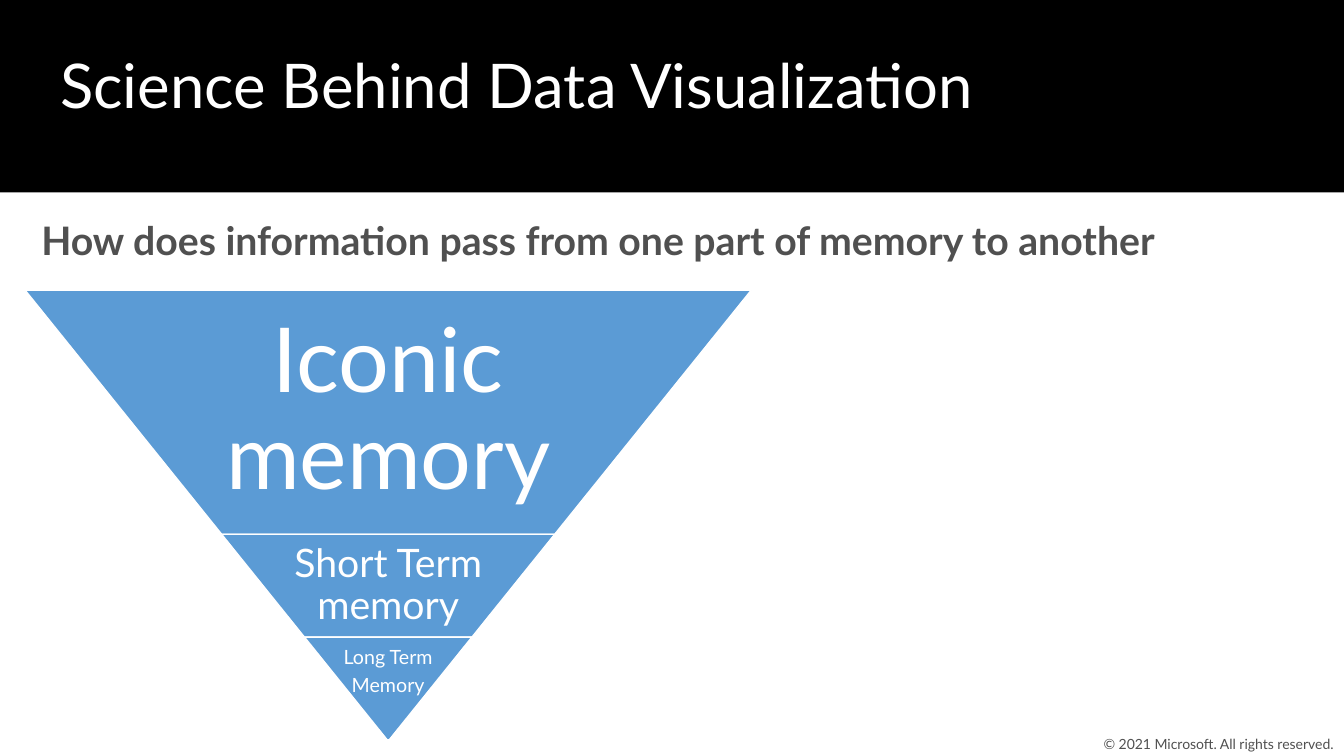
from dataclasses import dataclass

from pptx import Presentation
from pptx.dml.color import RGBColor
from pptx.enum import shapes, text
from pptx.util import Inches, Pt


@dataclass(frozen=True)
class Theme:
    font: str = "Lato"
    black: RGBColor = RGBColor(0, 0, 0)
    white: RGBColor = RGBColor(255, 255, 255)
    grey: RGBColor = RGBColor(0x50, 0x50, 0x50)
    blue: RGBColor = RGBColor(0x5B, 0x9B, 0xD5)
    title: int = 44
    question: int = 28
    notice: int = 10


THEME = Theme()
WIDTH, HEIGHT = 13.33, 7.5
SLOPE = 0.805  # horizontal run of the funnel sides per unit of height

# Height, share of the width for text, type size, inset, bottom inset, lines
TIERS = [
    (2.42, 0.65, 64, 0.09, 0.09, ["Iconic memory"]),
    (1.02, 0.65, 28, 0.04, 0.04, ["Short Term memory"]),
    (1.02, 1, 14, 0.02, 0.34, ["Long Term", "Memory"]),
]


def add_text(slide, box, lines, size, color, insets, bold=False, centred=False,
             middle=False, spacing=None, after=0):
    frame = slide.shapes.add_textbox(*map(Inches, box)).text_frame
    frame.word_wrap = True
    frame.vertical_anchor = text.MSO_ANCHOR.MIDDLE if middle else text.MSO_ANCHOR.TOP
    (frame.margin_left, frame.margin_top,
     frame.margin_right, frame.margin_bottom) = map(Inches, insets)
    frame.text = "\n".join(lines)
    for line in frame.paragraphs:
        line.alignment = text.PP_ALIGN.CENTER if centred else text.PP_ALIGN.LEFT
        line.line_spacing = spacing
        line.space_after = Pt(after)
        line.font.name = THEME.font
        line.font.size = Pt(size)
        line.font.bold = bold
        line.font.color.rgb = color


def add_block(slide, kind, box, fill):
    block = slide.shapes.add_shape(kind, *map(Inches, box))
    block.shadow.inherit = False
    block.fill.solid()
    block.fill.fore_color.rgb = fill
    block.line.fill.background()
    return block


def add_header(slide, left, top, width, height):
    add_block(slide, shapes.MSO_SHAPE.RECTANGLE, (left, top, width, height), THEME.black)
    add_text(slide, (left + 0.5, top + 0.22 * height, width - 1.04, 0.4 * height),
             ["Science Behind Data Visualization"], THEME.title, THEME.white,
             (0.1, 0.05, 0.1, 0.05))


def add_question(slide, *box):
    add_text(slide, box, ["How does information pass from one part of memory to another"],
             THEME.question, THEME.grey, (0.16, 0.1, 0.16, 0.1), bold=True, spacing=0.9)


def add_funnel(slide, left, top, width):
    """Stack the tiers downwards, each as wide as the foot of the one above."""
    for height, share, size, inset, bottom, lines in TIERS:
        tier = add_block(slide, shapes.MSO_SHAPE.TRAPEZOID,
                         (left, top, width, height), THEME.blue)
        tier.rotation = 180
        tier.adjustments[0] = SLOPE
        tier.line.color.rgb = THEME.white
        tier.line.width = Pt(1)
        add_text(slide, (left + width * (1 - share) / 2, top, width * share, height),
                 lines, size, THEME.white, (inset, inset, inset, bottom),
                 centred=True, middle=True, spacing=0.9, after=0.35 * size)
        left += SLOPE * height
        width -= 2 * SLOPE * height
        top += height


def add_notice(slide, *box):
    add_text(slide, box, ["© 2021 Microsoft. All rights reserved."], THEME.notice,
             THEME.grey, (0, 0, 0.1, 0), centred=True, middle=True)


def main():
    deck = Presentation()
    deck.slide_width, deck.slide_height = Inches(WIDTH), Inches(HEIGHT)
    slide = deck.slides.add_slide(deck.slide_layouts[6])
    add_header(slide, 0, 0, WIDTH, 1.91)
    add_notice(slide, 10.58, 7.26, 3.11, 0.24)
    add_question(slide, 0.25, 2.1, 12.84, 0.57)
    add_funnel(slide, 0.25, 2.88, 7.2)
    deck.save("out.pptx")


if __name__ == "__main__":
    main()
